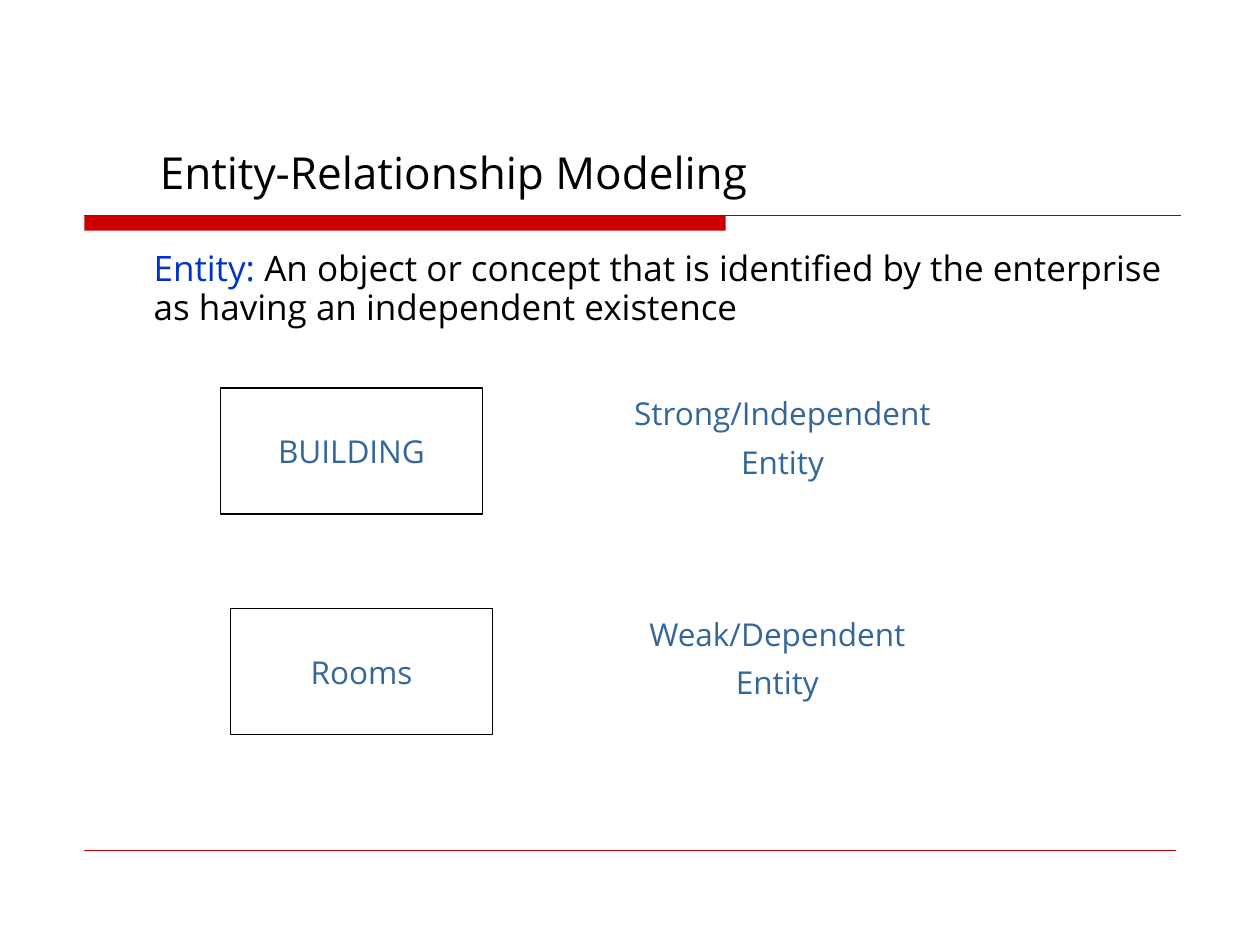
from dataclasses import dataclass

from lxml import etree
from pptx import Presentation
from pptx import util as u
from pptx.dml.color import RGBColor
from pptx.enum import shapes, text
from pptx.oxml.ns import qn


@dataclass(frozen=True)
class Theme:
    font: str = "Open Sans"
    title_size: float = 25.2
    body_size: float = 20
    label_size: float = 18
    black: str = "000000"
    white: str = "FFFFFF"
    red: str = "CC0000"
    rule: str = "333333"
    term: str = "0033CC"
    label: str = "336699"


def color(code):
    return RGBColor.from_string(code)


def write(frame, paragraphs, *, font, size, align=text.PP_ALIGN.LEFT,
          anchor=text.MSO_ANCHOR.TOP, wrap=True, spacing=None, gap=0):
    """Fill a frame with paragraphs, each a list of (words, colour) spans."""
    frame.word_wrap = wrap
    frame.vertical_anchor = anchor
    for index, spans in enumerate(paragraphs):
        para = frame.add_paragraph() if index else frame.paragraphs[0]
        para.alignment = align
        para.space_before = u.Pt(gap if index else 0)
        if spacing:
            para.line_spacing = spacing
        for words, code in spans:
            span = para.add_run()
            span.text = words
            span.font.name = font
            span.font.size = u.Pt(size)
            span.font.color.rgb = color(code)


class PageBuilder:
    def __init__(self, page, theme):
        self.page = page
        self.theme = theme

    def text_box(self, left, top, width, height, paragraphs, **style):
        box = self.page.shapes.add_textbox(*map(u.Inches, (left, top, width, height)))
        write(box.text_frame, paragraphs, font=self.theme.font, **style)

    def rectangle(self, left, top, width, height, fill, outline=None):
        box = self.page.shapes.add_shape(
            shapes.MSO_SHAPE.RECTANGLE, *map(u.Inches, (left, top, width, height)))
        box.shadow.inherit = False
        box.fill.solid()
        box.fill.fore_color.rgb = color(fill)
        if outline:
            box.line.color.rgb = color(outline)
            box.line.width = u.Pt(0.75)
        else:
            box.line.fill.background()
        return box

    def rule(self, left, right, y, code, weight):
        line = self.page.shapes.add_connector(
            shapes.MSO_CONNECTOR.STRAIGHT, *map(u.Inches, (left, y, right, y)))
        line.line.color.rgb = color(code)
        line.line.width = u.Pt(weight)
        etree.SubElement(line._element.spPr, qn("a:effectLst"))

    def label(self, left, top, width, height, lines, outline=None, **style):
        theme = self.theme
        box = self.rectangle(left, top, width, height, theme.white, outline)
        write(box.text_frame, [[(line, theme.label)] for line in lines],
              font=theme.font, size=theme.label_size,
              align=text.PP_ALIGN.CENTER, **style)

    def entity(self, left, top, name):
        self.label(left, top, 2.08, 1, [name], outline=self.theme.black,
                   anchor=text.MSO_ANCHOR.MIDDLE, wrap=False)

    def entity_kind(self, left, top, width, kind):
        self.label(left, top, width, 0.85, [kind, "Entity"], gap=6)


def main():
    theme = Theme()
    deck = Presentation()
    deck.slide_width, deck.slide_height = u.Inches(10), u.Inches(7.5)
    builder = PageBuilder(deck.slides.add_slide(deck.slide_layouts[6]), theme)

    builder.rule(0.67, 9.37, 1.71, theme.rule, 0.5)
    builder.rectangle(0.67, 1.71, 5.09, 0.12, theme.red)
    builder.rule(0.67, 9.33, 6.75, theme.red, 0.25)

    builder.text_box(1.17, 1.12, 7.83, 0.5,
                     [[("Entity-Relationship Modeling", theme.black)]],
                     size=theme.title_size, anchor=text.MSO_ANCHOR.BOTTOM)
    definition = ("An object or concept that is identified by the enterprise "
                  "as having an independent existence")
    builder.text_box(1.12, 1.94, 8.25, 0.9,
                     [[("Entity: ", theme.term), (definition, theme.black)]],
                     size=theme.body_size, spacing=0.92)

    rows = [
        (3.08, 1.75, "BUILDING", 4.67, 3.08, "Strong/Independent"),
        (4.83, 1.83, "Rooms", 4.92, 2.5, "Weak/Dependent"),
    ]
    for top, left, name, kind_left, kind_width, kind in rows:
        builder.entity(left, top, name)
        builder.entity_kind(kind_left, top, kind_width, kind)

    deck.save("out.pptx")


if __name__ == "__main__":
    main()
